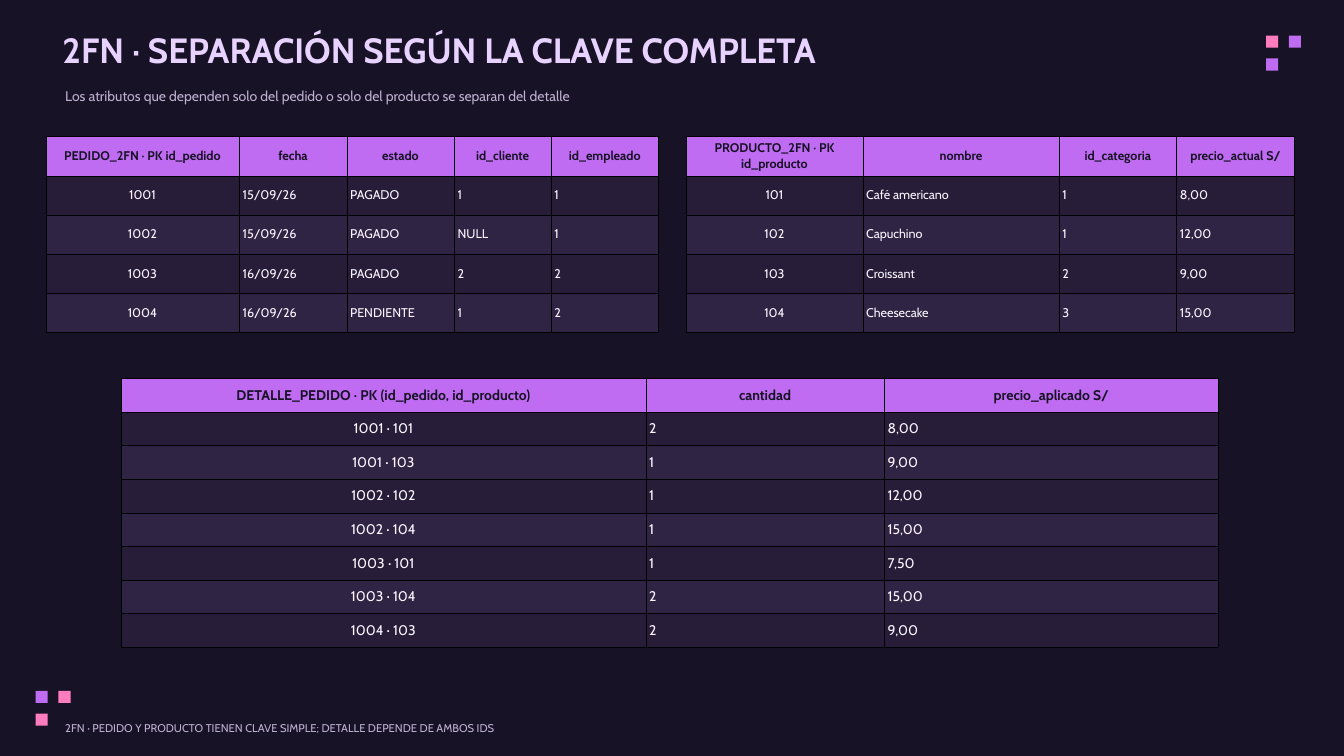
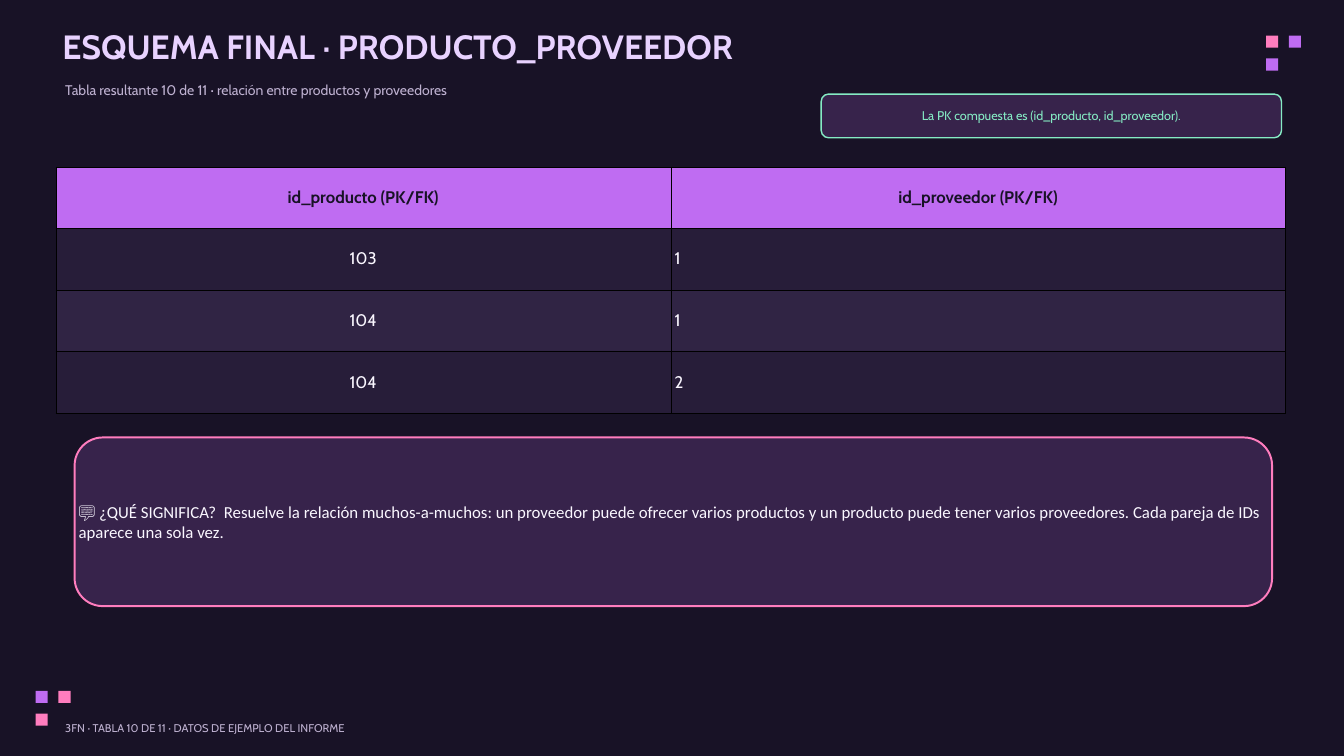
from pptx import Presentation
from pptx import util as u
from pptx.dml.color import RGBColor
from pptx.enum import shapes, text
from pptx.oxml import parse_xml
from pptx.oxml.ns import nsdecls

PX = 9144  # EMU per px, 100 px to the inch
NIGHT = RGBColor(0x18, 0x12, 0x26)
LILAC = RGBColor(0xE8, 0xD2, 0xFF)
MUTED = RGBColor(0xBE, 0xB1, 0xD0)
WHITE = RGBColor(0xFA, 0xF7, 0xFF)
PURPLE = RGBColor(0xBF, 0x6C, 0xF2)
PINK = RGBColor(0xFF, 0x7D, 0xBE)
MINT = RGBColor(0x85, 0xEB, 0xC4)
PANEL = RGBColor(0x37, 0x23, 0x4B)
BANDS = RGBColor(0x27, 0x1D, 0x39), RGBColor(0x30, 0x24, 0x44)

FONT = "Cabin"
LEFT, CENTER = text.PP_ALIGN.LEFT, text.PP_ALIGN.CENTER
TOP, MIDDLE = text.MSO_ANCHOR.TOP, text.MSO_ANCHOR.MIDDLE


def px(*lengths):
    return [u.Emu(n * PX) for n in lengths]


class Deck:
    def __init__(self):
        self.prs = Presentation()
        self.prs.slide_width, self.prs.slide_height = px(2000, 1125)
        fill = self.prs.slide_master.background.fill
        fill.solid()
        fill.fore_color.rgb = NIGHT
        self.s = None

    def slide(self, title, size, top, subtitle, sub_top, footer):
        """Start a slide with its corner squares, title, subtitle and footer."""
        self.s = self.prs.slides.add_slide(self.prs.slide_layouts[5])
        self.squares(1884, 53, (PINK, PURPLE, PURPLE))
        self.squares(53, 1028, (PURPLE, PINK, PINK))
        sp = self.s.shapes.title
        sp.left, sp.top, sp.width, sp.height = px(93, top, 1781, 73)
        self.set_text(sp.text_frame, title, size, LILAC, bold=True)
        self.textbox((97, sub_top, 1781, 38), subtitle, 15, MUTED)
        self.textbox((97, 1074, 1781, 20), footer, 12, MUTED)

    def squares(self, left, top, colors, side=18, step=34):
        for (col, row), color in zip(((0, 0), (1, 0), (0, 1)), colors):
            box = left + col * step, top + row * step, side, side
            self.shape(shapes.MSO_SHAPE.RECTANGLE, box, color)

    def shape(self, kind, box, fill, line=None, width=0):
        sp = self.s.shapes.add_shape(kind, *px(*box))
        sp.shadow.inherit = False
        sp.fill.solid()
        sp.fill.fore_color.rgb = fill
        if line is None:
            sp.line.fill.background()
        else:
            sp.line.color.rgb = line
            sp.line.width = u.Pt(width)

    def set_text(self, tf, words, size, color, inset=0, anchor=TOP, **style):
        tf.word_wrap = True
        tf.auto_size = text.MSO_AUTO_SIZE.NONE
        self.fit(tf, inset, anchor)
        self.paragraph(tf, words, size, color, **style)

    def fit(self, holder, inset, anchor):
        """Set the margins and the anchor of a text frame or a table cell."""
        holder.margin_left, holder.margin_top = px(inset, inset)
        holder.margin_right, holder.margin_bottom = px(inset, inset)
        holder.vertical_anchor = anchor

    def paragraph(self, tf, words, size, color, bold=False, align=LEFT, font=FONT):
        p = tf.paragraphs[0]
        p.text = words
        p.alignment = align
        p.line_spacing = u.Pt(size * 1.2)
        p.font.name, p.font.size, p.font.bold = font, u.Pt(size), bold
        p.font.color.rgb = color

    def textbox(self, box, words, size, color, **style):
        sp = self.s.shapes.add_textbox(*px(*box))
        self.set_text(sp.text_frame, words, size, color, **style)

    def card(self, box, words, size, color, line, width, **style):
        self.shape(shapes.MSO_SHAPE.ROUNDED_RECTANGLE, box, PANEL, line, width)
        self.textbox(box, words, size, color, inset=6, anchor=MIDDLE, **style)

    def table(self, left, top, height, widths, rows, size, inset=5):
        frame = self.s.shapes.add_table(
            len(rows), len(widths), *px(left, top, sum(widths), height))
        table = frame.table
        for column, width in zip(table.columns, px(*widths)):
            column.width = width
        for r, values in enumerate(rows):
            table.rows[r].height = u.Emu(height * PX // len(rows))
            for c, value in enumerate(values):
                cell = table.cell(r, c)
                self.fit(cell, inset, MIDDLE)
                self.borders(cell)
                cell.fill.solid()
                cell.fill.fore_color.rgb = BANDS[(r - 1) % 2] if r else PURPLE
                self.paragraph(cell.text_frame, value, size,
                               WHITE if r else NIGHT, bold=r == 0,
                               align=LEFT if r and c else CENTER)

    def borders(self, cell):
        props = cell._tc.get_or_add_tcPr()
        for side in "LRTB":
            props.append(parse_xml(
                f'<a:ln{side} {nsdecls("a")} w="{u.Pt(0.37)}"><a:solidFill>'
                f'<a:srgbClr val="000000"/></a:solidFill></a:ln{side}>'))


def second_normal_form(deck):
    deck.slide(
        "2FN · SEPARACIÓN SEGÚN LA CLAVE COMPLETA", 37.5, 43,
        "Los atributos que dependen solo del pedido o solo del producto "
        "se separan del detalle", 130,
        "2FN · PEDIDO Y PRODUCTO TIENEN CLAVE SIMPLE; DETALLE DEPENDE DE AMBOS IDS")
    orders = [
        ("PEDIDO_2FN · PK id_pedido", "fecha", "estado", "id_cliente", "id_empleado"),
        ("1001", "15/09/26", "PAGADO", "1", "1"),
        ("1002", "15/09/26", "PAGADO", "NULL", "1"),
        ("1003", "16/09/26", "PAGADO", "2", "2"),
        ("1004", "16/09/26", "PENDIENTE", "1", "2"),
    ]
    products = [
        ("PRODUCTO_2FN · PK id_producto", "nombre", "id_categoria", "precio_actual S/"),
        ("101", "Café americano", "1", "8,00"),
        ("102", "Capuchino", "1", "12,00"),
        ("103", "Croissant", "2", "9,00"),
        ("104", "Cheesecake", "3", "15,00"),
    ]
    details = [
        ("DETALLE_PEDIDO · PK (id_pedido, id_producto)", "cantidad", "precio_aplicado S/"),
        ("1001 · 101", "2", "8,00"),
        ("1001 · 103", "1", "9,00"),
        ("1002 · 102", "1", "12,00"),
        ("1002 · 104", "1", "15,00"),
        ("1003 · 101", "1", "7,50"),
        ("1003 · 104", "2", "15,00"),
        ("1004 · 103", "2", "9,00"),
    ]
    deck.table(68, 203, 292, (288, 160, 160, 144, 160), orders, 13.5)
    deck.table(1021, 203, 292, (263, 292, 175, 175), products, 13.5)
    deck.table(180, 563, 400, (781, 355, 497), details, 15)


def product_supplier(deck):
    deck.slide(
        "ESQUEMA FINAL · PRODUCTO_PROVEEDOR", 36, 38,
        "Tabla resultante 10 de 11 · relación entre productos y proveedores", 121,
        "3FN · TABLA 10 DE 11 · DATOS DE EJEMPLO DEL INFORME")
    pairs = [
        ("id_producto (PK/FK)", "id_proveedor (PK/FK)"),
        ("103", "1"),
        ("104", "1"),
        ("104", "2"),
    ]
    deck.table(83, 248, 367, (915, 915), pairs, 18, inset=6)
    deck.card((1222, 140, 685, 65), "La PK compuesta es (id_producto, id_proveedor).",
              13.5, MINT, MINT, 1.5, align=CENTER)
    deck.card((111, 651, 1782, 251),
              "💬 ¿QUÉ SIGNIFICA?  Resuelve la relación muchos-a-muchos: un proveedor "
              "puede ofrecer varios productos y un producto puede tener varios "
              "proveedores. Cada pareja de IDs aparece una sola vez.",
              18, WHITE, PINK, 2.1, font="Calibri")


def main():
    deck = Deck()
    second_normal_form(deck)
    product_supplier(deck)
    deck.prs.save("out.pptx")


if __name__ == "__main__":
    main()
